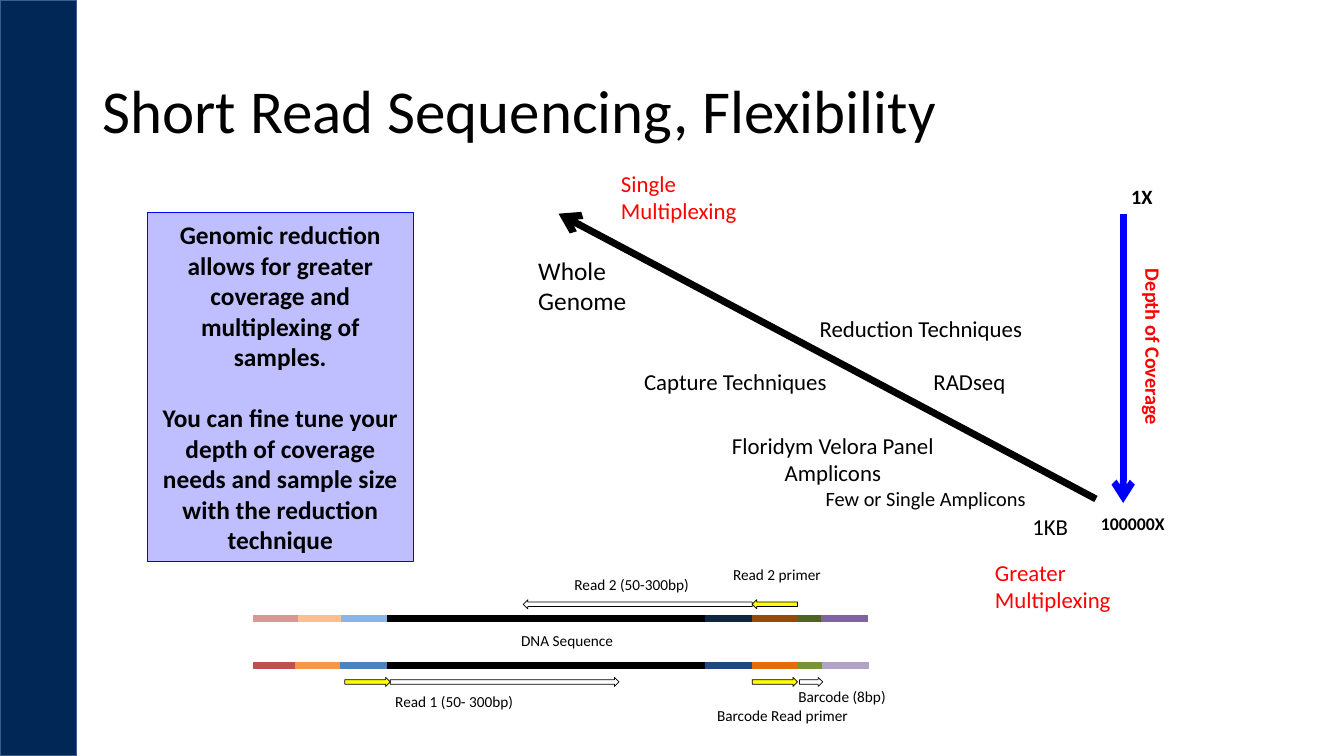
from dataclasses import dataclass
from itertools import pairwise

from lxml.etree import SubElement
from pptx import Presentation
from pptx.dml.color import RGBColor
from pptx.enum.shapes import MSO_CONNECTOR, MSO_SHAPE
from pptx.enum.text import MSO_ANCHOR, MSO_AUTO_SIZE, PP_ALIGN
from pptx.oxml.ns import qn
from pptx.util import Inches, Pt

BLACK = RGBColor(0x00, 0x00, 0x00)
RED = RGBColor(0xFF, 0x00, 0x00)
BLUE = RGBColor(0x00, 0x00, 0xFF)
YELLOW = RGBColor(0xFF, 0xFF, 0x00)
NAVY = RGBColor(0x00, 0x27, 0x55)
NAVY_EDGE = RGBColor(0x3A, 0x5F, 0x8C)
ROSE = RGBColor(0xD9, 0x96, 0x94)
PEACH = RGBColor(0xFA, 0xC0, 0x90)
SKY = RGBColor(0x8E, 0xB4, 0xE3)
MIDNIGHT = RGBColor(0x0F, 0x24, 0x3E)
BROWN = RGBColor(0x98, 0x48, 0x07)
MOSS = RGBColor(0x4F, 0x62, 0x28)
PURPLE = RGBColor(0x80, 0x64, 0xA2)
BRICK = RGBColor(0xC0, 0x50, 0x4D)
ORANGE = RGBColor(0xF7, 0x96, 0x46)
STEEL = RGBColor(0x4F, 0x81, 0xBD)
DEEP_BLUE = RGBColor(0x1F, 0x49, 0x7D)
PUMPKIN = RGBColor(0xE4, 0x6C, 0x0A)
OLIVE = RGBColor(0x77, 0x93, 0x3C)
LILAC = RGBColor(0xB3, 0xA2, 0xC7)

FONT = "Calibri"
LEFT, CENTER = PP_ALIGN.LEFT, PP_ALIGN.CENTER


@dataclass
class Label:
    lines: list[str]
    x: float
    y: float
    w: float
    h: float
    size: float
    color: RGBColor = BLACK
    bold: bool = False
    align: PP_ALIGN = LEFT
    wrap: bool = True
    rotation: float = 0


@dataclass
class Strand:
    y: float
    edges: list[float]
    colors: list[RGBColor]


@dataclass
class ReadArrow:
    x: float
    y: float
    w: float
    fill: RGBColor | None = None
    rotation: float = 0


@dataclass
class Axis:
    start: tuple[float, float]
    end: tuple[float, float]
    color: RGBColor
    width: float


LABELS = [
    Label(["DNA Sequence"], 3.66, 6.21, 3.93, 0.28, 10.9, align=CENTER),
    Label(["Read 1 (50- 300bp)"], 3.47, 6.82, 2.07, 0.28, 10.9, align=CENTER),
    Label(["Read 2 (50-300bp)"], 5.38, 5.66, 1.77, 0.28, 10.9, align=CENTER),
    Label(["Read 2 primer"], 7.06, 5.56, 1.29, 0.28, 10.9, align=CENTER),
    Label(["Barcode (8bp)"], 7.82, 6.77, 1.53, 0.28, 10.9),
    Label(["Barcode Read primer"], 6.89, 6.96, 1.74, 0.28, 10.9, align=CENTER),
    Label(["Depth of Coverage"], 10.35, 3.48, 2.17, 0.35, 14.5, RED, True, rotation=90),
    Label(["1X"], 11.12, 1.78, 0.53, 0.35, 14.5, bold=True),
    Label(["100000X"], 10.82, 5.04, 0.93, 0.31, 12.7, bold=True),
    Label(["Whole Genome"], 5.24, 2.48, 1.43, 0.71, 18.1),
    Label(["1KB"], 10.14, 5.04, 0.76, 0.38, 16.3),
    Label(["Reduction Techniques"], 8.03, 3.07, 2.42, 0.38, 16.3),
    Label(["Capture Techniques"], 6.29, 3.6, 2.04, 0.38, 16.3, wrap=False),
    Label(["Floridym Velora Panel", "Amplicons"], 6.97, 4.23, 2.58, 0.65, 16.3, align=CENTER),
    Label(["Few or Single Amplicons"], 8.09, 4.77, 2.2, 0.35, 14.5, wrap=False),
    Label(["RADseq"], 9.16, 3.6, 1.13, 0.38, 16.3),
    Label(["Greater Multiplexing"], 9.77, 5.49, 1.74, 0.65, 16.3, RED),
    Label(["Single Multiplexing"], 6.06, 1.63, 1.74, 0.65, 16.3, RED),
]
STRANDS = [
    Strand(6.11, [2.51, 2.96, 3.39, 3.84, 7, 7.46, 7.92, 8.15, 8.6],
           [ROSE, PEACH, SKY, BLACK, MIDNIGHT, BROWN, MOSS, PURPLE]),
    Strand(6.57, [2.51, 2.93, 3.38, 3.84, 7, 7.46, 7.92, 8.16, 8.61],
           [BRICK, ORANGE, STEEL, BLACK, DEEP_BLUE, PUMPKIN, OLIVE, LILAC]),
]
READ_ARROWS = [
    ReadArrow(3.42, 6.72, 0.45, YELLOW),
    ReadArrow(3.87, 6.72, 2.27),
    ReadArrow(5.19, 5.95, 2.27, rotation=180),
    ReadArrow(7.46, 5.95, 0.45, YELLOW, 180),
    ReadArrow(7.93, 6.72, 0.23),
    ReadArrow(7.46, 6.72, 0.45, YELLOW),
]
AXES = [
    Axis((11.14, 2.12), (11.14, 4.99), BLUE, 4.75),
    Axis((10.87, 4.95), (5.54, 2.12), BLACK, 5),
]
SUMMARY = Label(
    ["Genomic reduction allows for greater coverage and multiplexing of samples.",
     "You can fine tune your depth of coverage needs and sample size",
     "with the reduction technique"],
    1.46, 2.11, 2.64, 3.46, 18.1, bold=True, align=CENTER)
TITLE = Label(["Short Read Sequencing, Flexibility"], 0.92, 0.4, 11.5, 1.45, 43.5)


def write_text(sp, label: Label):
    tf = sp.text_frame
    tf.word_wrap = label.wrap
    tf.auto_size = MSO_AUTO_SIZE.SHAPE_TO_FIT_TEXT
    font_format = {"name": FONT, "size": Pt(label.size), "bold": label.bold}
    for i, line in enumerate(label.lines):
        p = tf.add_paragraph() if i else tf.paragraphs[0]
        p.alignment = label.align
        r = p.add_run()
        r.text = line
        for key, value in font_format.items():
            setattr(r.font, key, value)
        r.font.color.rgb = label.color
    return tf


def add_label(s, label: Label):
    sp = s.shapes.add_textbox(*map(Inches, (label.x, label.y, label.w, label.h)))
    sp.rotation = label.rotation
    return write_text(sp, label)


def add_block(s, kind: MSO_SHAPE, x: float, y: float, w: float, h: float,
              fill: RGBColor | None, line: RGBColor, width: float = 0.5):
    sp = s.shapes.add_shape(kind, *map(Inches, (x, y, w, h)))
    sp.shadow.inherit = False
    if fill is None:
        sp.fill.background()
    else:
        sp.fill.solid()
        sp.fill.fore_color.rgb = fill
    sp.line.color.rgb = line
    sp.line.width = Pt(width)
    return sp


def add_strand(s, strand: Strand) -> None:
    for (x, end), color in zip(pairwise(strand.edges), strand.colors):
        add_block(s, MSO_SHAPE.RECTANGLE, x, strand.y, end - x, 0.06, color, color)


def add_read_arrow(s, arrow: ReadArrow) -> None:
    sp = add_block(s, MSO_SHAPE.RIGHT_ARROW, arrow.x, arrow.y, arrow.w, 0.09, arrow.fill, BLACK)
    sp.rotation = arrow.rotation


def add_axis(s, axis: Axis) -> None:
    cx = s.shapes.add_connector(MSO_CONNECTOR.STRAIGHT, *map(Inches, axis.start + axis.end))
    cx.line.color.rgb = axis.color
    cx.line.width = Pt(axis.width)
    SubElement(cx.line._get_or_add_ln(), qn("a:tailEnd"), type="arrow")
    SubElement(cx._element.spPr, qn("a:effectLst"))


def add_summary(s, label: Label) -> None:
    sp = add_block(s, MSO_SHAPE.RECTANGLE, label.x, label.y, label.w, label.h, BLUE, BLUE, 0.75)
    color = sp._element.spPr.find(qn("a:solidFill")).find(qn("a:srgbClr"))
    SubElement(color, qn("a:alpha"), val="25000")
    tf = write_text(sp, label)
    tf.paragraphs[1].space_before = Pt(22)


def main() -> None:
    prs = Presentation()
    prs.slide_width, prs.slide_height = Inches(13.33), Inches(7.5)
    s = prs.slides.add_slide(prs.slide_layouts[6])
    add_block(s, MSO_SHAPE.RECTANGLE, 0, 0, 0.76, 7.5, NAVY, NAVY_EDGE, 1)
    tf = add_label(s, TITLE)
    tf.auto_size = MSO_AUTO_SIZE.NONE
    tf.vertical_anchor = MSO_ANCHOR.MIDDLE
    tf.paragraphs[0].line_spacing = 0.9
    for strand in STRANDS:
        add_strand(s, strand)
    for arrow in READ_ARROWS:
        add_read_arrow(s, arrow)
    for axis in AXES:
        add_axis(s, axis)
    add_summary(s, SUMMARY)
    for label in LABELS:
        add_label(s, label)
    prs.save("out.pptx")


if __name__ == "__main__":
    main()
